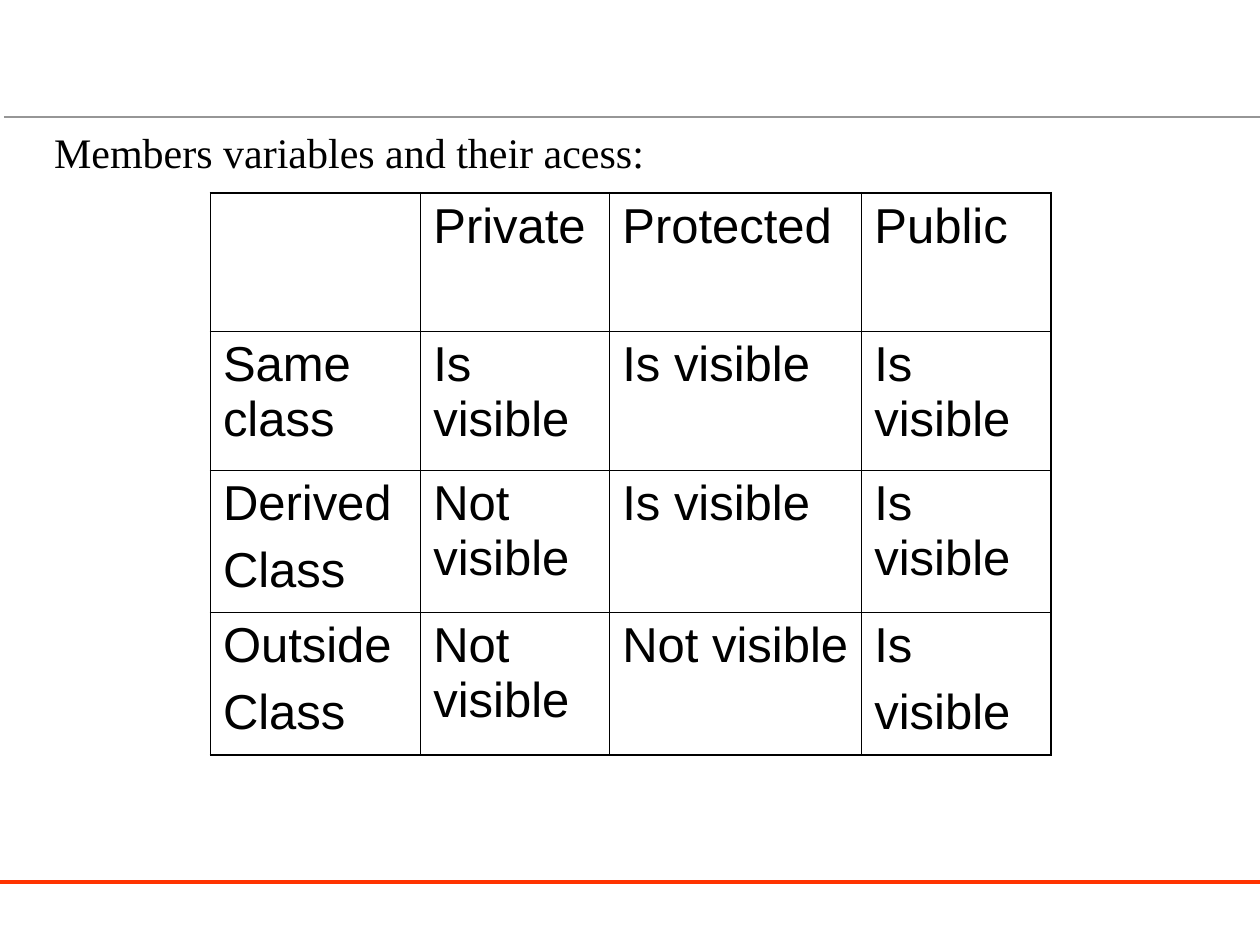
from dataclasses import dataclass

from lxml import etree
from pptx import Presentation
from pptx.dml.color import RGBColor
from pptx.enum import shapes, text
from pptx.oxml import ns
from pptx.util import Inches, Pt

COLORS = {"ink": "000000", "header_rule": "969696", "footer_rule": "FF3300"}
INNER_BORDER, OUTER_BORDER = 0.45, 1.08


@dataclass
class Rule:
    left: float
    y: float
    width: float
    color: str


RULES = [
    Rule(0.03, 0.93, 1.39, "header_rule"),
    Rule(0, 7, 2.75, "footer_rule"),
]
COLUMN_WIDTHS = [1.67, 1.5, 2, 1.5]
ROW_HEIGHTS = [1.1, 1.1, 1.13, 1.13]
ACCESS = [
    ["", "Private", "Protected", "Public"],
    ["Same class", "Is visible", "Is visible", "Is visible"],
    ["Derived\nClass", "Not visible", "Is visible", "Is visible"],
    ["Outside\nClass", "Not visible", "Not visible", "Is\nvisible"],
]


def draw_rule(slide, rule: Rule) -> None:
    line = slide.shapes.add_connector(
        shapes.MSO_CONNECTOR.STRAIGHT,
        Inches(rule.left), Inches(rule.y), Inches(10), Inches(rule.y))
    line.line.color.rgb = RGBColor.from_string(COLORS[rule.color])
    line.line.width = Pt(rule.width)
    etree.SubElement(line._element.spPr, ns.qn("a:effectLst"))


def format_paragraph(paragraph, font_name: str, size: float) -> None:
    paragraph.alignment = text.PP_ALIGN.LEFT
    for run in paragraph.runs:
        run.font.name = font_name
        run.font.size = Pt(size)
        run.font.bold = False
        run.font.color.rgb = RGBColor.from_string(COLORS["ink"])


def draw_heading(slide, wording: str) -> None:
    heading = slide.shapes.title
    heading.left, heading.top = Inches(0.33), Inches(0.95)
    heading.width, heading.height = Inches(9.17), Inches(0.5)
    frame = heading.text_frame
    frame.text = wording
    frame.word_wrap = True
    frame.auto_size = text.MSO_AUTO_SIZE.NONE
    frame.vertical_anchor = text.MSO_ANCHOR.TOP
    format_paragraph(frame.paragraphs[0], "Times New Roman", 24)


def set_borders(cell, widths: dict[str, float]) -> None:
    properties = cell._tc.get_or_add_tcPr()
    for position, (side, width) in enumerate(widths.items()):
        border = etree.Element(ns.qn(f"a:{side}"), w=str(Pt(width)))
        fill = etree.SubElement(border, ns.qn("a:solidFill"))
        etree.SubElement(fill, ns.qn("a:srgbClr"), val=COLORS["ink"])
        properties.insert(position, border)


def draw_access_table(slide) -> None:
    table = slide.shapes.add_table(
        len(ROW_HEIGHTS), len(COLUMN_WIDTHS), Inches(1.67), Inches(1.53),
        Inches(sum(COLUMN_WIDTHS)), Inches(sum(ROW_HEIGHTS))).table
    table.first_row = table.horz_banding = False
    for column, width in zip(table.columns, COLUMN_WIDTHS):
        column.width = Inches(width)
    for row, height in zip(table.rows, ROW_HEIGHTS):
        row.height = Inches(height)

    last_row, last_column = len(ROW_HEIGHTS) - 1, len(COLUMN_WIDTHS) - 1
    for r, entries in enumerate(ACCESS):
        for c, entry in enumerate(entries):
            cell = table.cell(r, c)
            cell.fill.background()
            cell.text_frame.text = entry
            for index, paragraph in enumerate(cell.text_frame.paragraphs):
                format_paragraph(paragraph, "Arial", 28)
                if index:
                    paragraph.space_before = Pt(7)
            outer = {"lnL": c == 0, "lnR": c == last_column,
                     "lnT": r == 0, "lnB": r == last_row}
            set_borders(cell, {side: OUTER_BORDER if edge else INNER_BORDER
                               for side, edge in outer.items()})


def main() -> None:
    deck = Presentation()
    deck.slide_width, deck.slide_height = Inches(10), Inches(7.5)
    slide = deck.slides.add_slide(deck.slide_layouts[5])
    for rule in RULES:
        draw_rule(slide, rule)
    draw_heading(slide, "Members variables and their acess:")
    draw_access_table(slide)
    deck.save("out.pptx")


if __name__ == "__main__":
    main()
